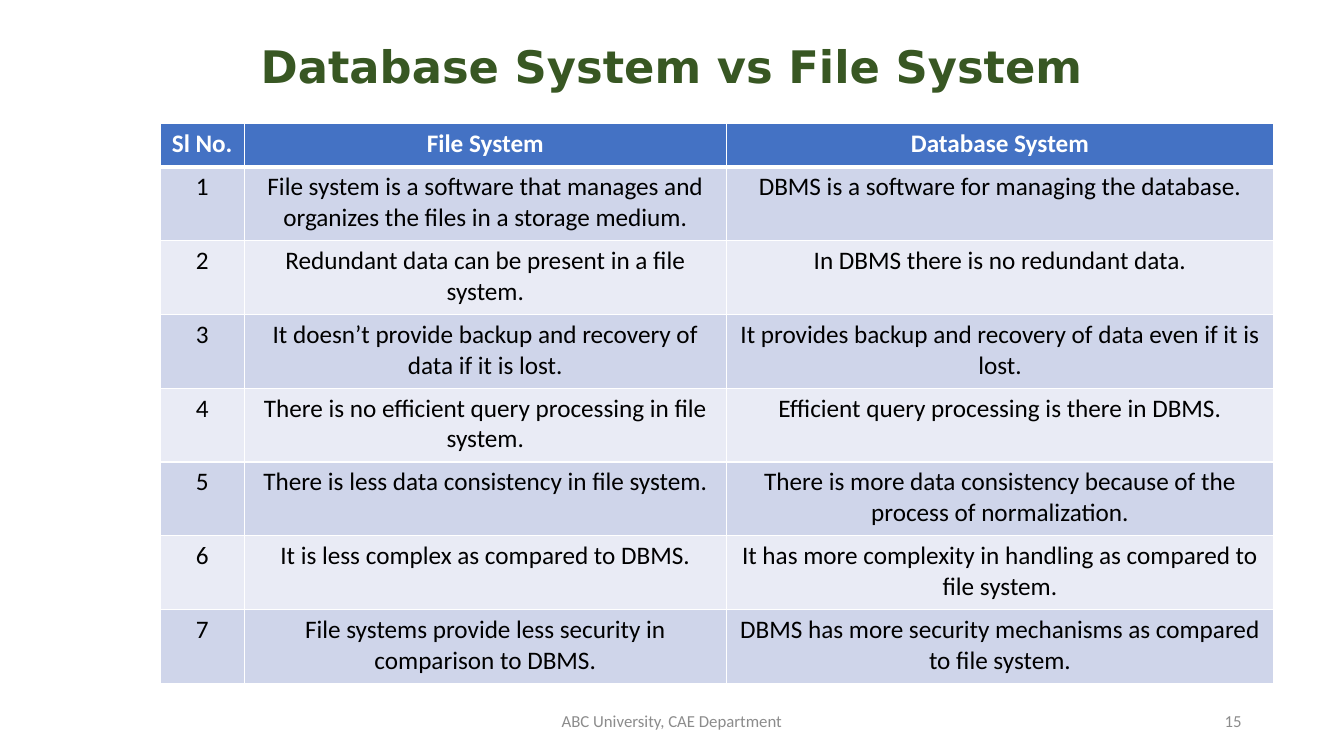
from dataclasses import dataclass
from typing import Any

from lxml.etree import SubElement
from pptx import Presentation
from pptx.dml.color import RGBColor
from pptx.enum.text import MSO_ANCHOR, PP_ALIGN
from pptx.oxml.ns import qn
from pptx.util import Cm, Pt

HEADER_FILL = "4472C4"
BAND_FILLS = ("CFD5EA", "E9EBF5")
COLUMN_WIDTHS = (2.13, 12.14, 13.8)
HEADER_HEIGHT, ROW_HEIGHT = 1.1, 1.86
HEADINGS = ("Sl No.", "File System", "Database System")
COMPARISONS = (
    ("File system is a software that manages and organizes the files in a storage medium.",
     "DBMS is a software for managing the database."),
    ("Redundant data can be present in a file system.",
     "In DBMS there is no redundant data."),
    ("It doesn’t provide backup and recovery of data if it is lost.",
     "It provides backup and recovery of data even if it is lost."),
    ("There is no efficient query processing in file system.",
     "Efficient query processing is there in DBMS."),
    ("There is less data consistency in file system.",
     "There is more data consistency because of the process of normalization."),
    ("It is less complex as compared to DBMS.",
     "It has more complexity in handling as compared to file system."),
    ("File systems provide less security in comparison to DBMS.",
     "DBMS has more security mechanisms as compared to file system."),
)
HEADER_FONT = {"name": "Calibri", "size": Pt(18), "bold": True}
BODY_FONT = HEADER_FONT | {"bold": False}
FOOTER_FONT = {"name": "Calibri", "size": Pt(12)}
TITLE_FONT = {"name": "DejaVu Sans", "size": Pt(32), "bold": True}


@dataclass
class FooterText:
    text: str
    left: float
    width: float
    alignment: PP_ALIGN


FOOTER_TEXTS = (
    FooterText("ABC University, CAE Department", 11.22, 11.43, PP_ALIGN.CENTER),
    FooterText("15", 23.92, 7.62, PP_ALIGN.RIGHT),
)


def color(value: str) -> RGBColor:
    return RGBColor.from_string(value)


def write_text(frame: Any, text: str, font_format: dict, font_color: str,
               alignment: PP_ALIGN = PP_ALIGN.CENTER) -> None:
    paragraph = frame.paragraphs[0]
    paragraph.alignment = alignment
    run = paragraph.add_run()
    run.text = text
    for attribute, value in font_format.items():
        setattr(run.font, attribute, value)
    run.font.color.rgb = color(font_color)


def add_borders(cell: Any, top: float, bottom: float) -> None:
    """Draw white cell borders with the given top and bottom widths in points."""
    properties = cell._tc.get_or_add_tcPr()
    for side, width in {"L": 1, "R": 1, "T": top, "B": bottom}.items():
        line = SubElement(properties, qn(f"a:ln{side}"), w=str(Pt(width)))
        fill = SubElement(line, qn("a:solidFill"))
        SubElement(fill, qn("a:srgbClr"), val="FFFFFF")


def add_comparison_table(slide: Any) -> None:
    rows = [HEADINGS]
    rows += [(str(number), *pair) for number, pair in enumerate(COMPARISONS, 1)]
    height = HEADER_HEIGHT + ROW_HEIGHT * len(COMPARISONS)
    table = slide.shapes.add_table(
        len(rows), len(HEADINGS), Cm(4.03), Cm(3.1),
        Cm(sum(COLUMN_WIDTHS)), Cm(height)).table
    for column, width in zip(table.columns, COLUMN_WIDTHS):
        column.width = Cm(width)
    for row_index, texts in enumerate(rows):
        is_header = row_index == 0
        table.rows[row_index].height = Cm(HEADER_HEIGHT if is_header else ROW_HEIGHT)
        for column_index, text in enumerate(texts):
            cell = table.cell(row_index, column_index)
            add_borders(cell, top=3 if row_index == 1 else 1, bottom=3 if is_header else 1)
            cell.fill.solid()
            cell.fill.fore_color.rgb = color(
                HEADER_FILL if is_header else BAND_FILLS[(row_index - 1) % 2])
            write_text(cell.text_frame, text, HEADER_FONT if is_header else BODY_FONT,
                       "FFFFFF" if is_header else "000000")


def add_footer_text(slide: Any, footer: FooterText) -> None:
    box = slide.shapes.add_textbox(Cm(footer.left), Cm(17.65), Cm(footer.width), Cm(1.01))
    frame = box.text_frame
    frame.word_wrap = True
    frame.vertical_anchor = MSO_ANCHOR.MIDDLE
    write_text(frame, footer.text, FOOTER_FONT, "8C8C8C", footer.alignment)


def format_title(slide: Any) -> None:
    title = slide.shapes.title
    placement = {"left": 2.33, "top": 1.01, "width": 29.21, "height": 2.77}
    for attribute, value in placement.items():
        setattr(title, attribute, Cm(value))
    title.text_frame.vertical_anchor = MSO_ANCHOR.TOP
    write_text(title.text_frame, "Database System vs File System", TITLE_FONT, "385723")
    title.text_frame.paragraphs[0].line_spacing = 0.9


def main() -> None:
    presentation = Presentation()
    presentation.slide_width, presentation.slide_height = Cm(33.87), Cm(19.05)
    slide = presentation.slides.add_slide(presentation.slide_layouts.get_by_name("Title Only"))
    format_title(slide)
    add_comparison_table(slide)
    for footer in FOOTER_TEXTS:
        add_footer_text(slide, footer)
    presentation.save("out.pptx")


if __name__ == "__main__":
    main()
